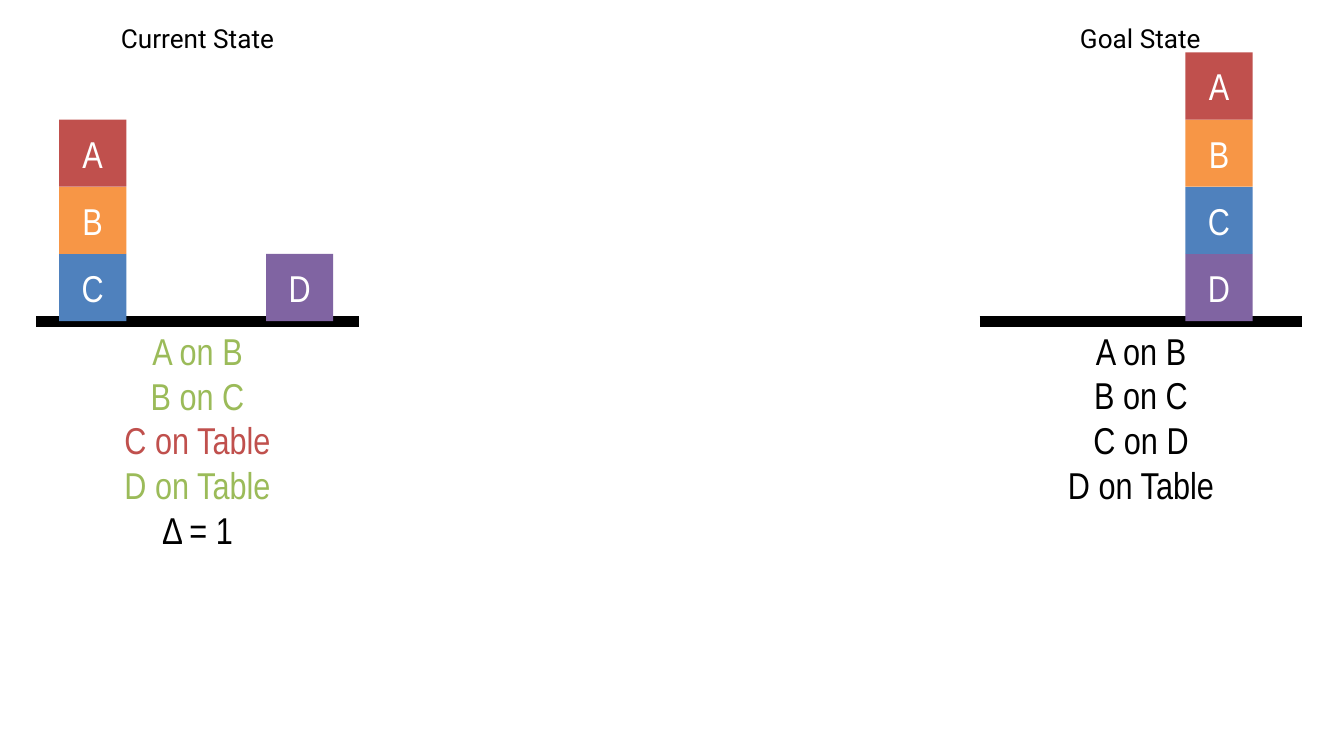
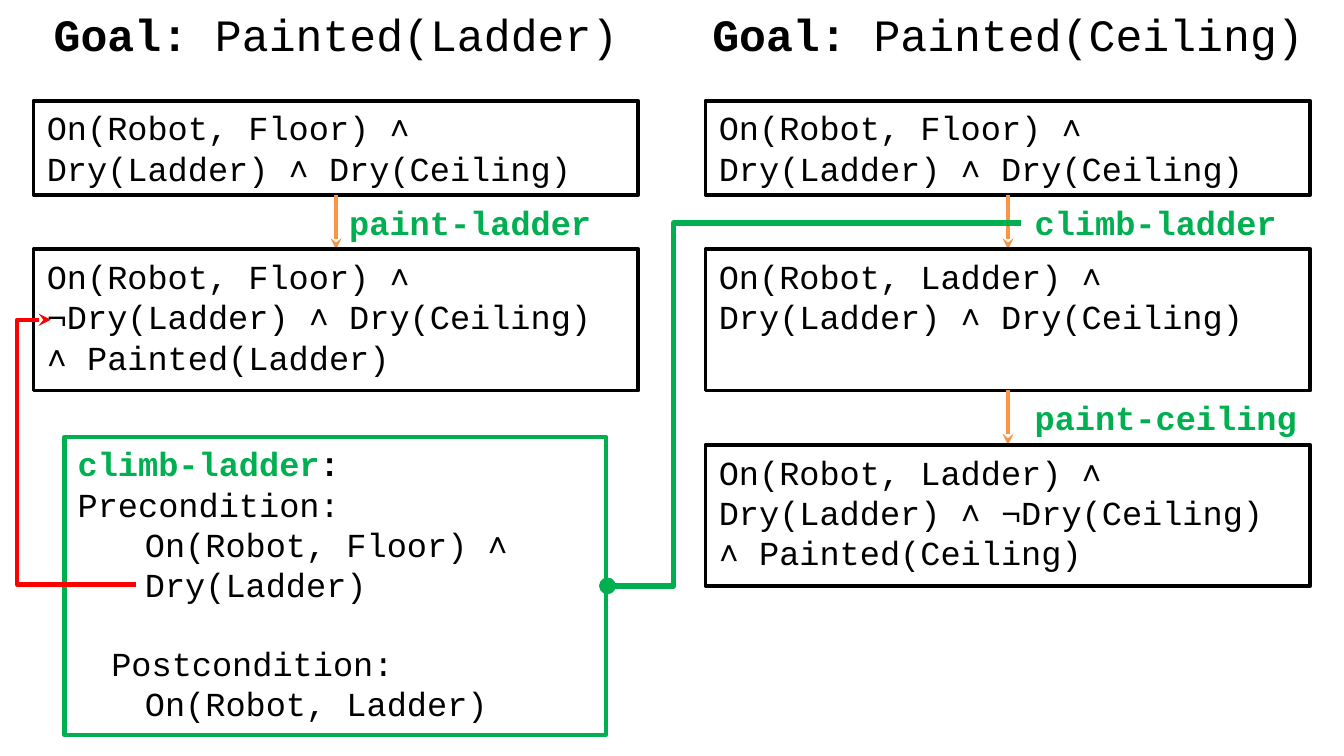
"""Build two planning slides: a block world and a pair of robot painting plans."""
import dataclasses
import typing

import lxml.etree
import pptx
import pptx.dml.color
import pptx.enum.shapes
import pptx.enum.text
import pptx.oxml.ns
import pptx.shapes.autoshape
import pptx.slide
import pptx.util

RGBColor = pptx.dml.color.RGBColor
Slide = pptx.slide.Slide
Shape = pptx.shapes.autoshape.Shape
ALIGN = pptx.enum.text.PP_ALIGN
ANCHOR = pptx.enum.text.MSO_ANCHOR
CONNECTOR = pptx.enum.shapes.MSO_CONNECTOR
RECTANGLE = pptx.enum.shapes.MSO_SHAPE.RECTANGLE

BLACK = RGBColor(0x00, 0x00, 0x00)
WHITE = RGBColor(0xFF, 0xFF, 0xFF)
RED = RGBColor(0xC0, 0x50, 0x4D)
ORANGE = RGBColor(0xF7, 0x96, 0x46)
BLUE = RGBColor(0x4F, 0x81, 0xBD)
PURPLE = RGBColor(0x80, 0x64, 0xA2)
LIME = RGBColor(0x9B, 0xBB, 0x59)
GREEN = RGBColor(0x00, 0xB0, 0x50)
BRIGHT_RED = RGBColor(0xFF, 0x00, 0x00)

COLUMNS, ROWS = 40, 22.5
CELL = 0.25
BLOCK_COLORS = {"A": RED, "B": ORANGE, "C": BLUE, "D": PURPLE}
BLOCK_SIZE = 2
TABLE_ROW, TABLE_WIDTH = 9.56, 9.6
PLAN_WIDTH, FIRST_STATE_ROW, ACTION_GAP = 18, 3, 1.62


class Frame(typing.NamedTuple):
    column: float
    row: float
    width: float
    height: float


class Point(typing.NamedTuple):
    column: float
    row: float


@dataclasses.dataclass(frozen=True)
class TextStyle:
    font: str
    size: float
    color: RGBColor = BLACK
    bold: bool = False


@dataclasses.dataclass(frozen=True)
class Line:
    runs: tuple[tuple[str, TextStyle], ...]
    indent: float = 0
    space_before: float = 0


@dataclasses.dataclass(frozen=True)
class Stack:
    column: float
    blocks: str


@dataclasses.dataclass(frozen=True)
class World:
    label: str
    label_frame: Frame
    table_column: float
    stacks: tuple[Stack, ...]
    facts: tuple[tuple[str, RGBColor], ...]


@dataclasses.dataclass(frozen=True)
class State:
    height: float
    lines: tuple[str, ...]


@dataclasses.dataclass(frozen=True)
class Plan:
    column: float
    goal: str
    action_column: float
    states: tuple[State, ...]
    actions: tuple[str, ...]


LABEL = TextStyle("Roboto", 14)
FACT = TextStyle("Arial Narrow", 20)
BLOCK = dataclasses.replace(FACT, color=WHITE)
CODE = TextStyle("Courier New", 18)
CODE_BOLD = dataclasses.replace(CODE, bold=True)
ACTION = dataclasses.replace(CODE_BOLD, color=GREEN)
GOAL = TextStyle("Courier New", 24)
GOAL_BOLD = dataclasses.replace(GOAL, bold=True)

WORLDS = (
    World("Current State", Frame(1.72, 0.48, 8.32, 1.36), 1.08,
          (Stack(1.76, "CBA"), Stack(7.92, "D")),
          (("A on B", LIME), ("B on C", LIME), ("C on Table", RED),
           ("D on Table", LIME), ("Δ = 1", BLACK))),
    World("Goal State", Frame(31, 0.48, 5.88, 1.36), 29.16,
          (Stack(35.28, "DCBA"),),
          (("A on B", BLACK), ("B on C", BLACK), ("C on D", BLACK),
           ("D on Table", BLACK))),
)

START = State(2.8, ("On(Robot, Floor) ˄", "Dry(Ladder) ˄ Dry(Ceiling)"))
PLANS = (
    Plan(1, "Painted(Ladder)", 10,
         (START,
          State(4.2, ("On(Robot, Floor) ˄",
                      "¬Dry(Ladder) ˄ Dry(Ceiling) ˄ Painted(Ladder)"))),
         ("paint-ladder",)),
    Plan(21, "Painted(Ceiling)", 30.4,
         (START,
          State(4.2, ("On(Robot, Ladder) ˄", "Dry(Ladder) ˄ Dry(Ceiling)")),
          State(4.2, ("On(Robot, Ladder) ˄",
                      "Dry(Ladder) ˄ ¬Dry(Ceiling) ˄ Painted(Ceiling)"))),
         ("climb-ladder", "paint-ceiling")),
)

OPERATOR_LINES = (
    Line((("climb-ladder", ACTION), (":", CODE_BOLD))),
    Line((("Precondition:", CODE),)),
    Line((("On(Robot, Floor) ˄", CODE),), indent=2),
    Line((("Dry(Ladder)", CODE),), indent=2),
    Line((("Postcondition:", CODE),), indent=1, space_before=20.4),
    Line((("On(Robot, Ladder)", CODE),), indent=2),
)


def grid(cells: float) -> pptx.util.Length:
    """Turn a number of grid cells into a length."""
    return pptx.util.Inches(cells * CELL)


def write(shape: Shape, lines: typing.Iterable[Line], align: ALIGN = ALIGN.LEFT,
          anchor: ANCHOR = ANCHOR.TOP) -> None:
    """Fill a shape with formatted paragraphs."""
    text_frame = shape.text_frame
    text_frame.word_wrap = True
    text_frame.vertical_anchor = anchor
    for index, line in enumerate(lines):
        paragraph = text_frame.add_paragraph() if index else text_frame.paragraphs[0]
        paragraph.alignment = align
        if line.space_before:
            paragraph.space_before = pptx.util.Pt(line.space_before)
        if line.indent:
            paragraph._p.get_or_add_pPr().set("marL", str(grid(line.indent)))
        for text, style in line.runs:
            run = paragraph.add_run()
            run.text = text
            run.font.name = style.font
            run.font.size = pptx.util.Pt(style.size)
            run.font.bold = style.bold
            run.font.color.rgb = style.color


def add_text(slide: Slide, frame: Frame, lines: typing.Iterable[Line],
             align: ALIGN = ALIGN.LEFT) -> Shape:
    """Add a text box."""
    shape = slide.shapes.add_textbox(*map(grid, frame))
    write(shape, lines, align)
    return shape


def add_box(slide: Slide, frame: Frame, fill: RGBColor | None = None,
            outline: RGBColor | None = None, weight: float = 2) -> Shape:
    """Add a rectangle with an optional fill and outline."""
    shape = slide.shapes.add_shape(RECTANGLE, *map(grid, frame))
    shape.shadow.inherit = False
    if fill is None:
        shape.fill.background()
    else:
        shape.fill.solid()
        shape.fill.fore_color.rgb = fill
    if outline is None:
        shape.line.fill.background()
    else:
        shape.line.color.rgb = outline
        shape.line.width = pptx.util.Pt(weight)
    return shape


def add_line(slide: Slide, start: Point, end: Point, color: RGBColor, weight: float,
             tip: str | None = None, bend: float | None = None) -> None:
    """Add a straight or bent connector, with an optional tip at its end."""
    kind = CONNECTOR.STRAIGHT if bend is None else CONNECTOR.ELBOW
    connector = slide.shapes.add_connector(kind, *map(grid, (*start, *end)))
    connector.line.color.rgb = color
    connector.line.width = pptx.util.Pt(weight)
    qualify = pptx.oxml.ns.qn
    properties = connector.element.spPr
    if tip:
        outline = properties.find(qualify("a:ln"))
        lxml.etree.SubElement(outline, qualify("a:tailEnd"), type=tip)
    if bend is not None:
        adjustments = properties.find(qualify("a:prstGeom")).find(qualify("a:avLst"))
        lxml.etree.SubElement(adjustments, qualify("a:gd"), name="adj1",
                              fmla=f"val {round(bend * 100000)}")
    lxml.etree.SubElement(properties, qualify("a:effectLst"))


def draw_world(slide: Slide, world: World) -> None:
    """Draw a table with its stacks of blocks and the facts that hold."""
    add_line(slide, Point(world.table_column, TABLE_ROW),
             Point(world.table_column + TABLE_WIDTH, TABLE_ROW), BLACK, 6)
    add_text(slide, world.label_frame, [Line(((world.label, LABEL),))], ALIGN.CENTER)
    for stack in world.stacks:
        for level, letter in enumerate(stack.blocks, start=1):
            frame = Frame(stack.column, TABLE_ROW - level * BLOCK_SIZE,
                          BLOCK_SIZE, BLOCK_SIZE)
            block = add_box(slide, frame, BLOCK_COLORS[letter])
            write(block, [Line(((letter, BLOCK),))], ALIGN.CENTER, ANCHOR.MIDDLE)
    facts = [Line(((text, dataclasses.replace(FACT, color=color)),))
             for text, color in world.facts]
    add_text(slide, Frame(world.table_column, TABLE_ROW, TABLE_WIDTH,
                          0.4 + 1.34 * len(facts)), facts, ALIGN.CENTER)


def draw_plan(slide: Slide, plan: Plan) -> None:
    """Draw a goal heading above states joined by action arrows."""
    heading = add_text(slide, Frame(plan.column, 0, PLAN_WIDTH, 1.68),
                       [Line((("Goal: ", GOAL_BOLD), (plan.goal, GOAL)))], ALIGN.CENTER)
    heading.text_frame.margin_left = heading.text_frame.margin_right = 0
    row = FIRST_STATE_ROW
    middle = plan.column + PLAN_WIDTH / 2
    for index, state in enumerate(plan.states):
        box = add_box(slide, Frame(plan.column, row, PLAN_WIDTH, state.height),
                      WHITE, BLACK)
        write(box, [Line(((text, CODE),)) for text in state.lines])
        row += state.height
        if index < len(plan.actions):
            add_line(slide, Point(middle, row), Point(middle, row + ACTION_GAP),
                     ORANGE, 2, "stealth")
            width = plan.column + PLAN_WIDTH - plan.action_column
            add_text(slide, Frame(plan.action_column, row, width, ACTION_GAP),
                     [Line(((plan.actions[index], ACTION),))])
        row += ACTION_GAP


def draw_operator(slide: Slide) -> None:
    """Draw the climb-ladder operator and the links to its use and its conflict."""
    box = add_box(slide, Frame(1.92, 13, 16.12, 8.88), outline=GREEN, weight=2.25)
    write(box, OPERATOR_LINES)
    add_line(slide, Point(30.4, 6.64), Point(18.08, 17.44), GREEN, 3, "oval", 0.84)
    add_line(slide, Point(4.04, 17.4), Point(1.52, 9.52), BRIGHT_RED, 2.25,
             "stealth", 1.4)


def main() -> None:
    """Build and save the presentation."""
    presentation = pptx.Presentation()
    presentation.slide_width = grid(COLUMNS)
    presentation.slide_height = grid(ROWS)
    blank = presentation.slide_layouts.get_by_name("Blank")
    blocks_slide = presentation.slides.add_slide(blank)
    for world in WORLDS:
        draw_world(blocks_slide, world)
    plans_slide = presentation.slides.add_slide(blank)
    for plan in PLANS:
        draw_plan(plans_slide, plan)
    draw_operator(plans_slide)
    presentation.save("out.pptx")


if __name__ == "__main__":
    main()
